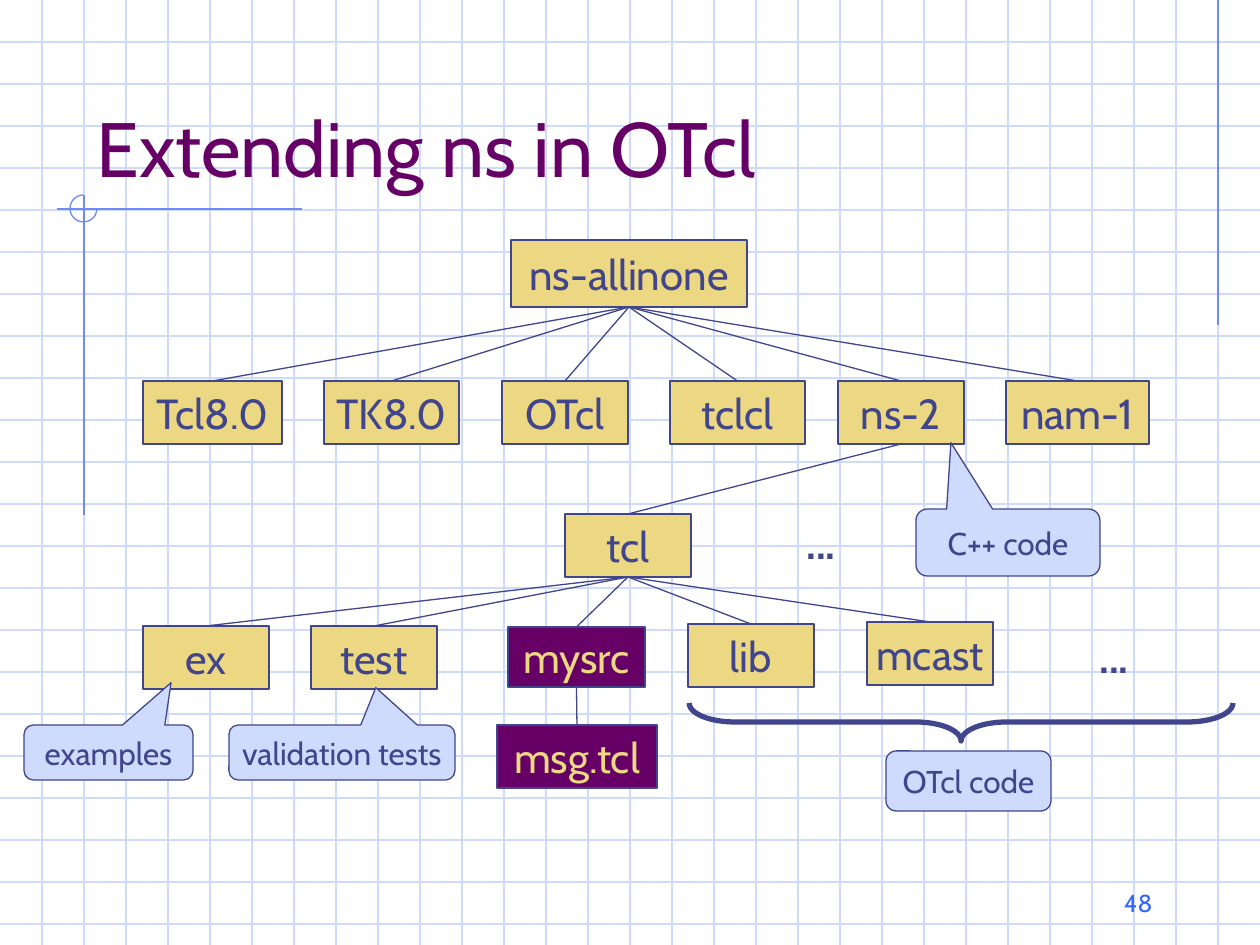
from pptx import Presentation
from pptx.dml.color import RGBColor
from pptx.enum.shapes import MSO_CONNECTOR, MSO_SHAPE
from pptx.enum.text import MSO_ANCHOR as ANCHOR, MSO_AUTO_SIZE, PP_ALIGN as ALIGN
from pptx.oxml.ns import qn
from pptx.util import Emu, Pt
from lxml.etree import SubElement

PX = 914400 / 126
WIDTH, HEIGHT, GRID = 1260, 945, 42
FONT = "Cabin"
PALE = RGBColor(0xCF, 0xDB, 0xFD)
RULE = RGBColor(0x6F, 0x89, 0xF7)
INK = RGBColor(0x40, 0x45, 0x8C)
SAND = RGBColor(0xEC, 0xD8, 0x82)
PURPLE = RGBColor(0x66, 0x00, 0x66)
BLUE = RGBColor(0x33, 0x66, 0xFF)


def px(*lengths):
    return [Emu(round(length * PX)) for length in lengths]


def write(box, text, size, color, align=ALIGN.CENTER, anchor=ANCHOR.MIDDLE,
          wrap=False, bold=False):
    frame = box.text_frame
    frame.auto_size = MSO_AUTO_SIZE.NONE
    frame.word_wrap = wrap
    frame.vertical_anchor = anchor
    para = frame.paragraphs[0]
    para.alignment = align
    span = para.add_run()
    span.text = text
    span.font.name = FONT
    span.font.size = Pt(size)
    span.font.bold = bold
    span.font.color.rgb = color


deck = Presentation()
deck.slide_width, deck.slide_height = px(WIDTH, HEIGHT)
page = deck.slides.add_slide(deck.slide_layouts[5])
shapes = page.shapes

# Background grid, then the accent rules
rules = [(0, y, WIDTH, y, PALE) for y in range(GRID, HEIGHT, GRID)]
rules += [(x, 0, x, HEIGHT, PALE) for x in range(GRID, WIDTH, GRID)]
rules += [(1218, 0, 1218, 325, RULE), (302, 209, 57, 209, RULE), (84, 195, 84, 515, RULE)]
connectors = []
for *ends, color in rules:
    rule = shapes.add_connector(MSO_CONNECTOR.STRAIGHT, *px(*ends))
    rule.line.color.rgb = color
    connectors.append(rule)

# Three-quarter circle where the accent rules cross
arc = shapes.add_shape(MSO_SHAPE.ARC, *px(70, 195, 27, 27))
arc.shadow.inherit = False
arc.adjustments[0], arc.adjustments[1] = 0, 162
arc.fill.background()
arc.line.color.rgb = RULE
arc.line.width = Pt(0.75)

# Title, brought in front of the grid
title = shapes.title
title.left, title.top, title.width, title.height = px(84, 42, 1071, 157)
write(title, "Extending ns in OTcl", 44, PURPLE, ALIGN.LEFT, ANCHOR.BOTTOM, wrap=True)
shapes._spTree.append(title._element)

# Tree nodes: name, left, top, width, height
nodes = {}
for name, *place in [
    ("ns-allinone", 511, 240, 236, 67),
    ("Tcl8.0", 143, 381, 139, 63),
    ("TK8.0", 324, 381, 135, 63),
    ("OTcl", 502, 381, 126, 63),
    ("tclcl", 670, 381, 135, 63),
    ("ns-2", 838, 381, 126, 63),
    ("nam-1", 1006, 381, 143, 63),
    ("tcl", 565, 514, 126, 63),
    ("ex", 143, 626, 126, 63),
    ("test", 311, 626, 126, 63),
    ("mysrc", 508, 627, 137, 60),
    ("lib", 688, 624, 126, 63),
    ("mcast", 867, 622, 126, 63),
    ("msg.tcl", 497, 725, 160, 63),
]:
    own = name in ("mysrc", "msg.tcl")
    node = shapes.add_shape(MSO_SHAPE.RECTANGLE, *px(*place))
    node.shadow.inherit = False
    node.fill.solid()
    node.fill.fore_color.rgb = PURPLE if own else SAND
    node.line.color.rgb = INK
    node.line.width = Pt(0.75)
    write(node, name, 24, SAND if own else INK)
    nodes[name] = node

# Branches from each parent's bottom to each child's top
children = {
    "ns-allinone": ["Tcl8.0", "TK8.0", "OTcl", "tclcl", "ns-2", "nam-1"],
    "ns-2": ["tcl"],
    "tcl": ["ex", "test", "mysrc", "lib", "mcast"],
    "mysrc": ["msg.tcl"],
}
for parent, names in children.items():
    for name in names:
        branch = shapes.add_connector(MSO_CONNECTOR.STRAIGHT, 0, 0, 0, 0)
        branch.begin_connect(nodes[parent], 2)
        branch.end_connect(nodes[name], 0)
        branch.line.color.rgb = INK
        connectors.append(branch)

for connector in connectors:
    connector.line.width = Pt(0.75)
    SubElement(connector._element.spPr, qn("a:effectLst"))

# Ellipses for further folders
for left, top in [(794, 511), (1087, 625)]:
    dots = shapes.add_textbox(*px(left, top, 61, 63))
    write(dots, "...", 24, INK, ALIGN.LEFT, ANCHOR.TOP, bold=True)

# Brace over the OTcl folders
brace = shapes.add_shape(MSO_SHAPE.RIGHT_BRACE, *px(942, 450, 38, 544))
brace.shadow.inherit = False
brace.rotation = 90
brace.adjustments[0], brace.adjustments[1] = 1.2, 0.5
brace.fill.background()
brace.line.color.rgb = INK
brace.line.width = Pt(3)

# Notes: callouts point at a node, the last one hangs from the brace
CALLOUT, ROUNDED = MSO_SHAPE.ROUNDED_RECTANGULAR_CALLOUT, MSO_SHAPE.ROUNDED_RECTANGLE
for text, kind, place, adjustments in [
    ("examples", CALLOUT, (24, 725, 169, 55), (0.37, -1.27, 0.17)),
    ("validation tests", CALLOUT, (229, 725, 226, 55), (0.15, -1.18, 0.17)),
    ("C++ code", CALLOUT, (916, 509, 184, 67), (-0.31, -1.49, 0.17)),
    ("OTcl code", ROUNDED, (886, 751, 165, 60), (0.17,)),
]:
    note = shapes.add_shape(kind, *px(*place))
    note.shadow.inherit = False
    for index, value in enumerate(adjustments):
        note.adjustments[index] = value
    note.fill.solid()
    note.fill.fore_color.rgb = PALE
    note.line.color.rgb = INK
    note.line.width = Pt(0.75)
    write(note, text, 18, INK)

# Page number
number = shapes.add_textbox(*px(903, 861, 262, 63))
write(number, "48", 14, BLUE, ALIGN.RIGHT, ANCHOR.BOTTOM, wrap=True)

deck.save("out.pptx")
